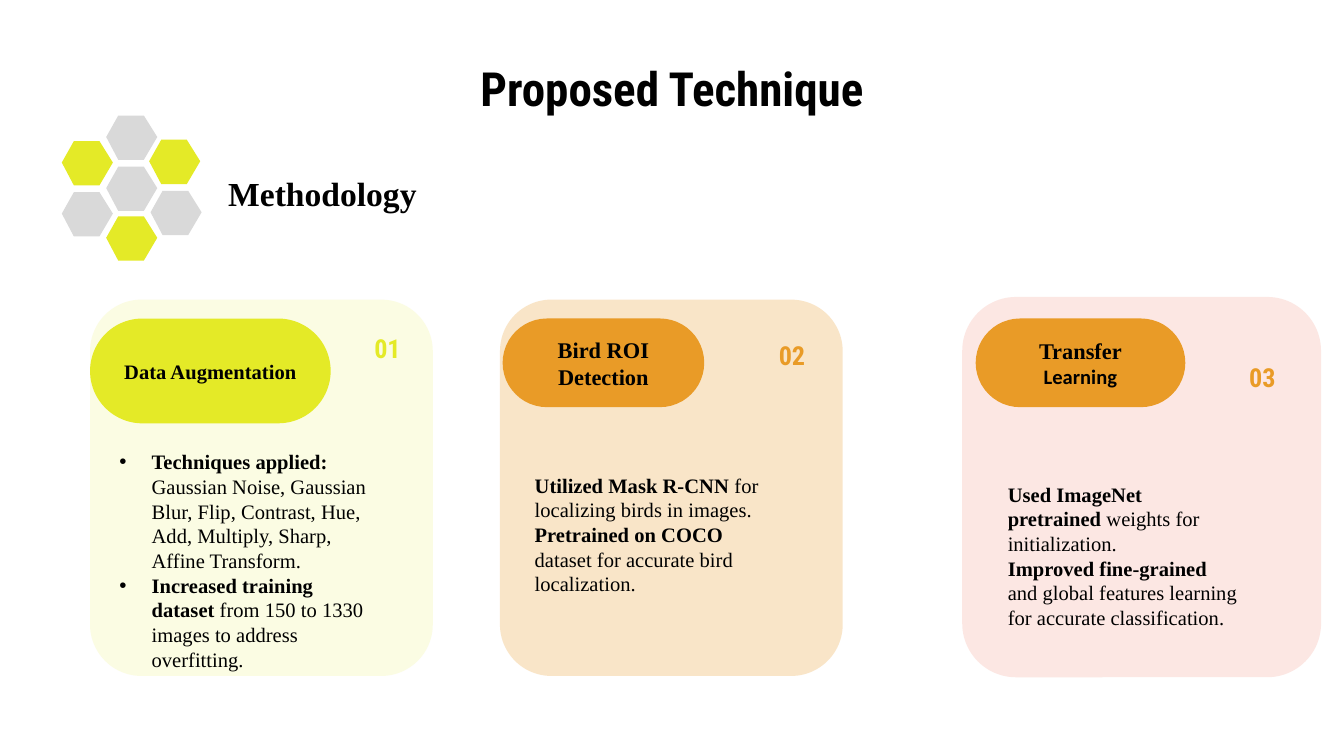
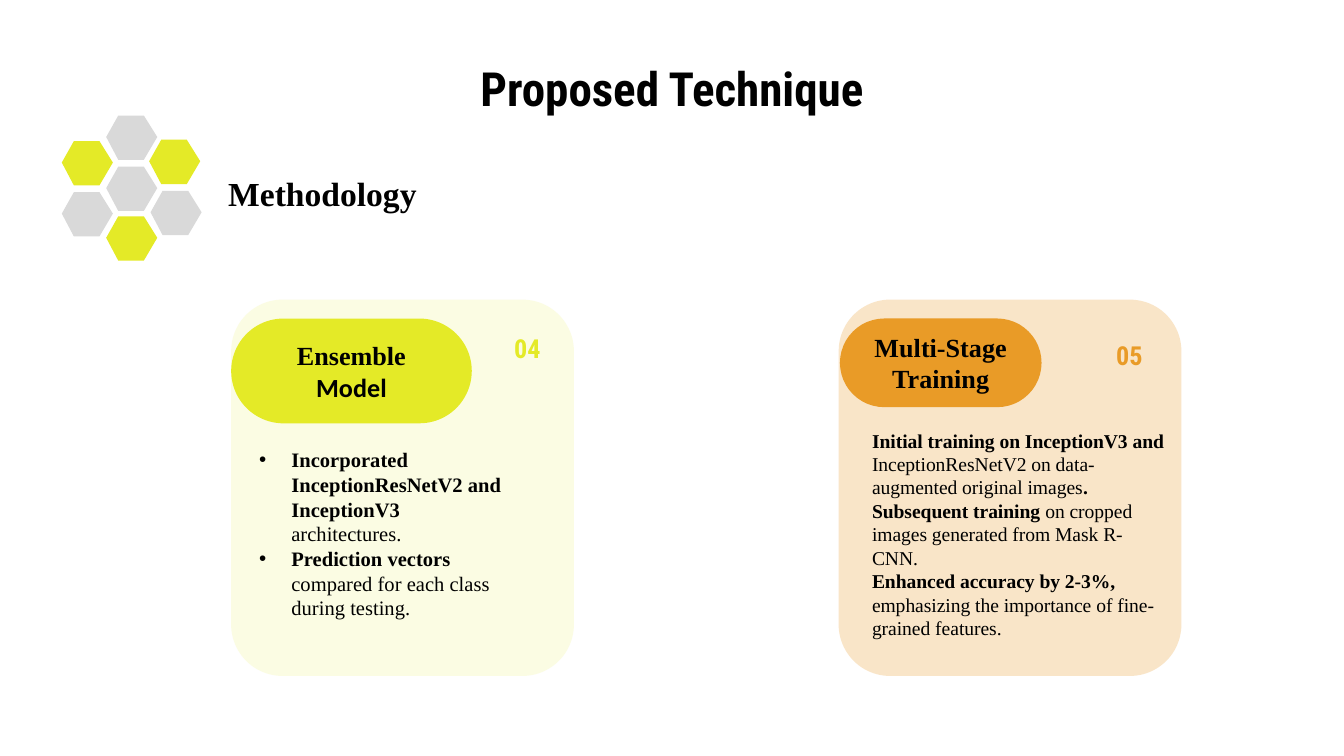
from lxml.etree import SubElement
from pptx import Presentation
from pptx.dml.color import RGBColor
from pptx.enum.shapes import MSO_SHAPE
from pptx.enum.text import MSO_ANCHOR, MSO_AUTO_SIZE, PP_ALIGN
from pptx.oxml.ns import qn
from pptx.util import Pt

PX = 9144  # 100 px to the inch
COLORS = {"black": "000000", "gray": "D9D9D9", "lime": "E4EA27",
          "orange": "E99B27", "red": "EA4827"}
SERIF, CONDENSED, SANS = "Times New Roman", "Roboto Condensed", "Calibri"

HEXAGONS = [(79, 86, "gray"), (111, 104, "lime"), (79, 124, "gray"), (112, 142, "gray"),
            (46, 105, "lime"), (46, 143, "gray"), (79, 161, "lime")]
HEXAGON_CORNERS = [(0, 16), (9, 33), (28, 33), (38, 16), (28, 0)]

# Label runs are (text, size, font); body runs alternate bold and regular.
SLIDES = [
    [
        {"number": "01", "card": (67, 223, 255, 280), "tint": ("lime", 13),
         "pill": (67, 237, 179, 78), "accent": "lime",
         "label": [("Data Augmentation", 11, SERIF)],
         "body_box": (79, 319, 206, 196), "body_size": 11, "bullets": True,
         "body": [["Techniques applied:",
                   " Gaussian Noise, Gaussian Blur, Flip, Contrast, Hue, Add, Multiply, "
                   "Sharp, Affine Transform."],
                  ["Increased training dataset ",
                   "from 150 to 1330 images to address overfitting."]],
         "number_box": (256, 226, 52, 66)},
        {"number": "02", "card": (372, 223, 255, 280), "tint": ("orange", 25),
         "pill": (374, 237, 150, 66), "accent": "orange",
         "label": [("Bird ROI Detection", 12, SERIF)],
         "body_box": (388, 306, 192, 183), "body_size": 11, "bullets": False,
         "body": [["Utilized Mask R-CNN ", "for localizing birds in images."],
                  ["Pretrained on COCO ", "dataset for accurate bird localization."]],
         "number_box": (568, 244, 41, 41)},
        {"number": "03", "card": (716, 221, 267, 283), "tint": ("red", 13),
         "pill": (726, 237, 156, 66), "accent": "orange",
         "label": [("Transfer", 12, SERIF), (" Learning", 11, SANS)],
         "body_box": (740, 323, 192, 181), "body_size": 11, "bullets": False,
         "body": [["Used ImageNet pretrained ", "weights for initialization."],
                  ["Improved fine-grained ",
                   "and global features learning for accurate classification."]],
         "number_box": (918, 260, 41, 41)},
    ],
    [
        {"number": "04", "card": (172, 223, 255, 280), "tint": ("lime", 13),
         "pill": (172, 237, 179, 78), "accent": "lime",
         "label": [("Ensemble", 14, SERIF), (" Model", 14, SANS)],
         "body_box": (183, 299, 206, 196), "body_size": 11, "bullets": True,
         "body": [["Incorporated InceptionResNetV2 and InceptionV3 ", "architectures."],
                  ["Prediction vectors ", "compared for each class during testing."]],
         "number_box": (360, 226, 52, 66)},
        {"number": "05", "card": (624, 223, 255, 280), "tint": ("orange", 25),
         "pill": (625, 237, 150, 66), "accent": "orange",
         "label": [("Multi-Stage Training", 14, SERIF)],
         "body_box": (639, 306, 240, 183), "body_size": 10.5, "bullets": False,
         "body": [["Initial training on InceptionV3 and ",
                   "InceptionResNetV2 on data-augmented original images", "."],
                  ["Subsequent training ", "on cropped images generated from Mask R-CNN."],
                  ["Enhanced accuracy by 2-3%, ",
                   "emphasizing the importance of fine-grained features."]],
         "number_box": (819, 244, 41, 41)},
    ],
]


def write(shape, paragraphs, alignment=PP_ALIGN.LEFT, color="black"):
    """Fill a shape with paragraphs of (text, size, font, bold) runs, centred vertically."""
    frame = shape.text_frame
    frame.word_wrap = True
    frame.vertical_anchor = MSO_ANCHOR.MIDDLE
    frame.margin_left = frame.margin_top = frame.margin_right = frame.margin_bottom = 10 * PX
    for index, runs in enumerate(paragraphs):
        paragraph = frame.add_paragraph() if index else frame.paragraphs[0]
        paragraph.alignment = alignment
        for text, size, font, bold in runs:
            run = paragraph.add_run()
            run.text = text
            run.font.size, run.font.name, run.font.bold = Pt(size), font, bold
            run.font.color.rgb = RGBColor.from_string(COLORS[color])


def add_rounded(shapes, box, color, roundness, opacity=100):
    shape = shapes.add_shape(MSO_SHAPE.ROUNDED_RECTANGLE, *[value * PX for value in box])
    shape.adjustments[0] = roundness
    shape.shadow.inherit = False
    shape.line.fill.background()
    shape.fill.solid()
    shape.fill.fore_color.rgb = RGBColor.from_string(COLORS[color])
    if opacity < 100:
        fill_color = shape._element.spPr.find(qn("a:solidFill")).find(qn("a:srgbClr"))
        SubElement(fill_color, qn("a:alpha"), val=str(opacity * 1000))
    return shape


presentation = Presentation()
presentation.slide_width = 1000 * PX
presentation.slide_height = presentation.slide_width * 9 // 16

for cards in SLIDES:
    slide = presentation.slides.add_slide(presentation.slide_layouts[5])
    title = slide.shapes.title
    title.left, title.top, title.width, title.height = 50 * PX, 45 * PX, 900 * PX, 41 * PX
    write(title, [[("Proposed Technique", 25.2, CONDENSED, True)]], PP_ALIGN.CENTER)
    title.text_frame.auto_size = MSO_AUTO_SIZE.NONE

    heading = slide.shapes.add_textbox(160 * PX, 124 * PX, 186 * PX, 40 * PX)
    write(heading, [[("Methodology", 18, SERIF, True)]])
    heading.text_frame.margin_top = heading.text_frame.margin_bottom = 5 * PX
    heading.text_frame.vertical_anchor = MSO_ANCHOR.TOP
    heading.text_frame.auto_size = MSO_AUTO_SIZE.SHAPE_TO_FIT_TEXT

    honeycomb = slide.shapes.add_group_shape()
    for left, top, color in HEXAGONS:
        builder = honeycomb.shapes.build_freeform(left + 9, top, scale=PX)
        builder.add_line_segments([(left + x, top + y) for x, y in HEXAGON_CORNERS])
        hexagon = builder.convert_to_shape()
        hexagon.shadow.inherit = False
        hexagon.line.fill.background()
        hexagon.fill.solid()
        hexagon.fill.fore_color.rgb = RGBColor.from_string(COLORS[color])

    for card in cards:
        tint, opacity = card["tint"]
        add_rounded(slide.shapes, card["card"], tint, 0.15, opacity)
        pill = add_rounded(slide.shapes, card["pill"], card["accent"], 0.5)
        write(pill, [[(*run, True) for run in card["label"]]], PP_ALIGN.CENTER)

        body = slide.shapes.add_textbox(*[value * PX for value in card["body_box"]])
        write(body, [[(text, card["body_size"], SERIF, index % 2 == 0)
                      for index, text in enumerate(texts)] for texts in card["body"]])
        if card["bullets"]:
            for paragraph in body.text_frame.paragraphs:
                properties = paragraph._p.get_or_add_pPr()
                properties.set("marL", str(24 * PX))
                properties.set("indent", str(-24 * PX))
                bullet_color = SubElement(properties, qn("a:buClr"))
                SubElement(bullet_color, qn("a:srgbClr"), val=COLORS["black"])
                SubElement(properties, qn("a:buFont"), typeface="Arial")
                SubElement(properties, qn("a:buChar"), char="•")

        number = slide.shapes.add_textbox(*[value * PX for value in card["number_box"]])
        write(number, [[(card["number"], 14, CONDENSED, True)]], PP_ALIGN.RIGHT, card["accent"])

presentation.save("out.pptx")
